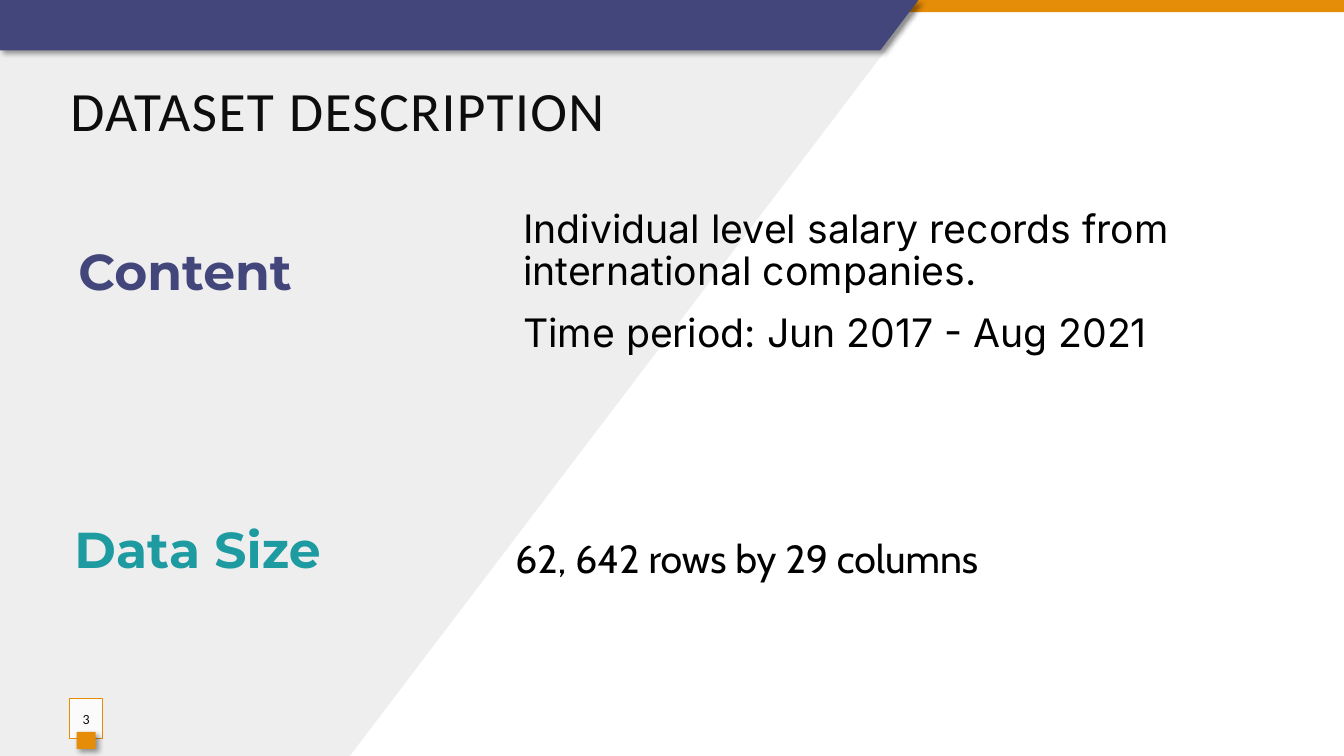
from lxml import etree
from pptx import Presentation
from pptx.dml.color import RGBColor
from pptx.enum.shapes import MSO_SHAPE
from pptx.enum.text import MSO_ANCHOR, PP_ALIGN
from pptx.oxml import parse_xml
from pptx.oxml.ns import nsdecls, qn
from pptx.util import Inches, Pt

COLORS = {
    "panel": "EEEEEE", "orange": "E58C09", "indigo": "43467B", "teal": "1D9BA1",
    "title": "0D0D0D", "black": "000000", "white": "FFFFFF",
}


def rgb(name):
    return RGBColor.from_string(COLORS[name])


def paint(sp, color):
    sp.shadow.inherit = False
    sp.fill.solid()
    sp.fill.fore_color.rgb = rgb(color)
    sp.line.fill.background()
    return sp


def add_drop_shadow(sp):
    effects = sp._element.spPr.find(qn("a:effectLst"))
    effects.append(parse_xml(
        f'<a:outerShdw {nsdecls("a")} blurRad="{Pt(4)}" dist="{Pt(3)}" dir="2700000" '
        f'algn="tl" rotWithShape="0"><a:srgbClr val="{COLORS["black"]}">'
        '<a:alpha val="40000"/></a:srgbClr></a:outerShdw>'))


def add_rect(s, left, top, width, height, color):
    return paint(s.shapes.add_shape(MSO_SHAPE.RECTANGLE, Inches(left), Inches(top),
                                    Inches(width), Inches(height)), color)


def add_polygon(s, points, color):
    start, *rest = [(Inches(x), Inches(y)) for x, y in points]
    builder = s.shapes.build_freeform(*start)
    builder.add_line_segments(rest, close=True)
    return paint(builder.convert_to_shape(), color)


def style_run(r, font, size, color, bold=False):
    r.font.name = font
    r.font.size = Pt(size)
    r.font.bold = bold
    r.font.color.rgb = rgb(color)


def add_text(s, box, lines, font, size, color, bold=False):
    """Add a vertically centred text box with one paragraph per line."""
    tf = s.shapes.add_textbox(*map(Inches, box)).text_frame
    tf.word_wrap = True
    tf.vertical_anchor = MSO_ANCHOR.MIDDLE
    for i, line in enumerate(lines):
        p = tf.add_paragraph() if i else tf.paragraphs[0]
        p.text = line
        p.line_spacing = 0.9
        p.space_before = Pt(12 if i else 0)
        p.space_after = Pt(2)
        style_run(p.runs[0], font, size, color, bold)
    return tf


def add_backdrop(s, width, height):
    edge = 9.11
    add_polygon(s, [(0, 0), (edge, 0), (edge, 0.07), (3.47, height), (0, height)], "panel")
    add_rect(s, 0, 0, width, 0.12, "orange")
    band = add_polygon(s, [(0, 0), (edge, 0), (8.73, 0.5), (0, 0.5)], "indigo")
    add_drop_shadow(band)


def add_title(s, box, text):
    tf = add_text(s, box, [text], "Calibri", 39.6, "title")
    p = tf.paragraphs[0]
    p.line_spacing = 1.0
    p.space_after = Pt(0)
    p.runs[0].font._element.set("spc", "100")


def add_page_number(s, left, top, number):
    frame = add_rect(s, left, top, 0.33, 0.4, "white")
    fill_color = frame._element.spPr.find(qn("a:solidFill"))[0]
    etree.SubElement(fill_color, qn("a:alpha"), val="82000")
    frame.line.color.rgb = rgb("orange")
    frame.line.width = Pt(0.75)
    tf = frame.text_frame
    tf.margin_left = tf.margin_right = 0
    tf.vertical_anchor = MSO_ANCHOR.MIDDLE
    p = tf.paragraphs[0]
    p.text = number
    p.alignment = PP_ALIGN.CENTER
    style_run(p.runs[0], "Calibri", 10, "title")
    add_drop_shadow(add_rect(s, left + 0.07, top + 0.33, 0.19, 0.17, "orange"))


def main():
    prs = Presentation()
    prs.slide_width, prs.slide_height = Inches(13.33), Inches(7.5)
    s = prs.slides.add_slide(prs.slide_layouts[6])
    add_backdrop(s, 13.33, 7.5)
    add_title(s, (0.6, 0.7, 11.82, 0.77), "DATASET DESCRIPTION")
    add_text(s, (5.09, 1.86, 7.32, 1.89),
             ["Individual level salary records from international companies.",
              "Time period: Jun 2017 - Aug 2021"], "Inter", 28, "black")
    add_text(s, (0.68, 2.49, 2.6, 0.46), ["Content"], "Montserrat", 36, "indigo", True)
    add_text(s, (5.01, 5.06, 5.9, 1), ["62, 642 rows by 29 columns"], "Cabin", 28, "black")
    add_text(s, (0.64, 5.25, 2.8, 0.46), ["Data Size"], "Montserrat", 36, "teal", True)
    add_page_number(s, 0.69, 6.93, "3")
    prs.save("out.pptx")


if __name__ == "__main__":
    main()
